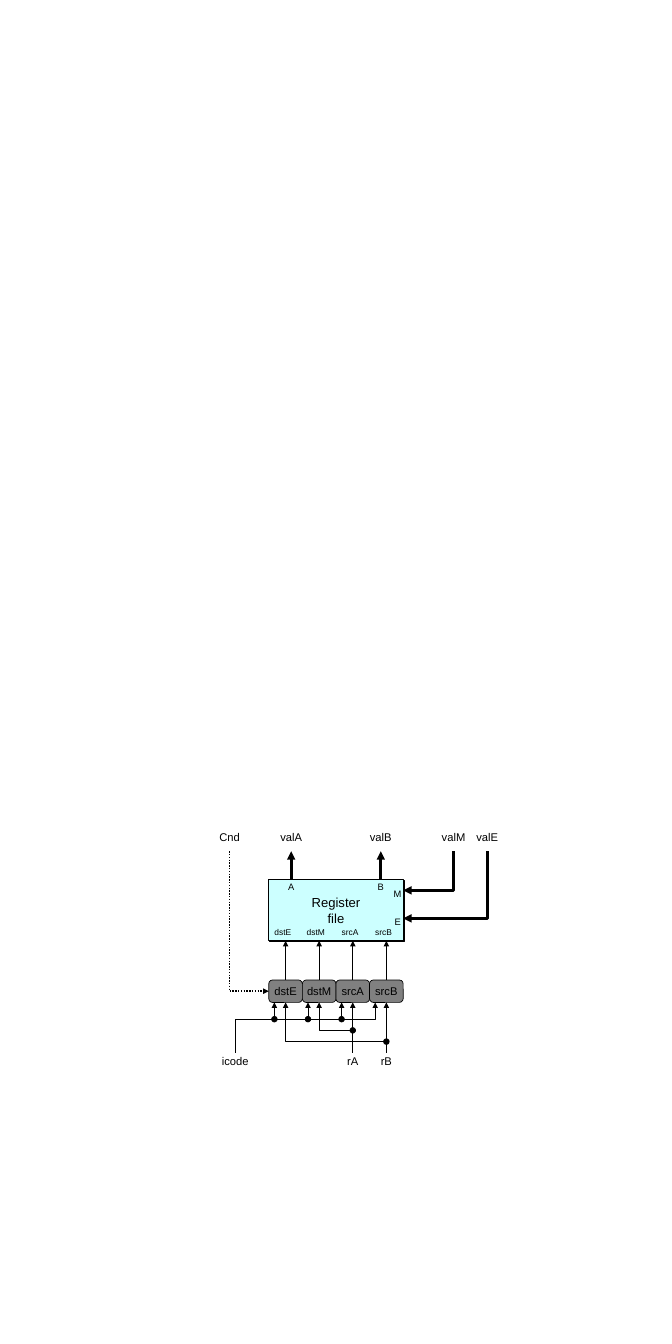
from lxml.etree import SubElement
from pptx import Presentation
from pptx.dml.color import RGBColor
from pptx.enum.dml import MSO_LINE
from pptx.enum.shapes import MSO_CONNECTOR, MSO_SHAPE
from pptx.enum.text import MSO_ANCHOR as ANCHOR, PP_ALIGN as ALIGN
from pptx.oxml.ns import qn
from pptx.util import Pt

rgb = RGBColor.from_string
BLACK = "000000"


def set_text(s, text, size, align=ALIGN.CENTER, anchor=ANCHOR.MIDDLE):
    tf = s.text_frame
    tf.text = text
    tf.word_wrap = True
    tf.vertical_anchor = anchor
    tf.margin_left = tf.margin_right = tf.margin_top = tf.margin_bottom = 0
    for p in tf.paragraphs:
        p.alignment = align
        for r in p.runs:
            r.font.name = "Arial"
            r.font.size = Pt(size)
            r.font.color.rgb = rgb(BLACK)


def set_line(s, width, arrow=True, dotted=False):
    s.line.color.rgb = rgb(BLACK)
    s.line.width = Pt(width)
    if dotted:
        s.line.dash_style = MSO_LINE.ROUND_DOT
    sp_pr = s.element.spPr
    if arrow:
        SubElement(sp_pr.find(qn("a:ln")), qn("a:tailEnd"), type="triangle")
    SubElement(sp_pr, qn("a:effectLst"))


prs = Presentation()
prs.slide_width, prs.slide_height = Pt(720), Pt(1440)
shapes = prs.slides.add_slide(prs.slide_layouts[6]).shapes

reg_left, reg_top, reg_w, reg_h = 288, 942, 144, 66
reg_right, reg_bottom = reg_left + reg_w, reg_top + reg_h
block_top, block_w, block_h = 1050, 36, 24
block_bottom = block_top + block_h
label_bottom, input_top = 912, 1128
icode_y, ra_y, rb_y = 1092, 1104, 1116

register = shapes.add_shape(MSO_SHAPE.RECTANGLE, Pt(reg_left), Pt(reg_top), Pt(reg_w), Pt(reg_h))
register.fill.solid()
register.fill.fore_color.rgb = rgb("CCFFFF")
set_line(register, 0.75, arrow=False)
set_text(register, "Register\nfile", 14)
shadow = SubElement(register.element.spPr.find(qn("a:effectLst")), qn("a:outerShdw"),
                    dist=str(Pt(1.4)), dir="2700000", algn="ctr", rotWithShape="0")
SubElement(shadow, qn("a:srgbClr"), val=BLACK)

labels = {}
for name, x, top in [("Cnd", 246, 882), ("valA", 312, 882), ("valB", 408, 882),
                     ("valM", 486, 882), ("valE", 522, 882),
                     ("icode", 252, 1122), ("rA", 378, 1122), ("rB", 414, 1122)]:
    labels[name] = shapes.add_textbox(Pt(x - 18), Pt(top), Pt(36), Pt(30))
    set_text(labels[name], name, 12)

for port, x, top in [("A", 312, 944.6), ("B", 408, 944.6), ("M", 426, 951.8), ("E", 426, 981.6)]:
    s = shapes.add_textbox(Pt(x - 12), Pt(top), Pt(24), Pt(12))
    set_text(s, port, 10, anchor=ANCHOR.TOP)

blocks = {}
for i, name in enumerate(["dstE", "dstM", "srcA", "srcB"]):
    left = reg_left + i * block_w
    mid = left + block_w / 2
    s = shapes.add_textbox(Pt(left), Pt(984), Pt(24), Pt(30))
    set_text(s, name, 9, ALIGN.RIGHT)

    s = shapes.add_shape(MSO_SHAPE.ROUNDED_RECTANGLE, Pt(left), Pt(block_top), Pt(block_w), Pt(block_h))
    s.fill.solid()
    s.fill.fore_color.rgb = rgb("808080")
    set_line(s, 0.75, arrow=False)
    set_text(s, name, 12)
    blocks[name] = s

    s = shapes.add_connector(MSO_CONNECTOR.STRAIGHT, Pt(mid), Pt(block_top), Pt(mid), Pt(reg_bottom))
    s.begin_connect(blocks[name], 0)
    set_line(s, 1)

for name, x in [("valA", 312), ("valB", 408)]:
    s = shapes.add_connector(MSO_CONNECTOR.STRAIGHT, Pt(x), Pt(reg_top), Pt(x), Pt(label_bottom))
    s.end_connect(labels[name], 2)
    set_line(s, 3)

for name, x in [("srcA", 378), ("srcB", 414)]:
    s = shapes.add_connector(MSO_CONNECTOR.STRAIGHT, Pt(x), Pt(input_top), Pt(x), Pt(block_bottom))
    s.end_connect(blocks[name], 2)
    set_line(s, 1)

for x in (294, 330, 366):
    s = shapes.add_connector(MSO_CONNECTOR.STRAIGHT, Pt(x), Pt(icode_y), Pt(x), Pt(block_bottom))
    set_line(s, 1)

for width, points in [
    (3, [(522, label_bottom), (522, 984), (reg_right, 984)]),
    (3, [(486, label_bottom), (486, 954), (reg_right, 954)]),
    (1, [(378, ra_y), (342, ra_y), (342, block_bottom)]),
    (1, [(414, rb_y), (306, rb_y), (306, block_bottom)]),
    (1, [(252, input_top), (252, icode_y), (402, icode_y), (402, block_bottom)]),
]:
    start, *rest = [(Pt(x), Pt(y)) for x, y in points]
    path_builder = shapes.build_freeform(*start)
    path_builder.add_line_segments(rest, close=False)
    s = path_builder.convert_to_shape()
    s.fill.background()
    set_line(s, width)

for x, y in [(294, icode_y), (330, icode_y), (366, icode_y), (378, ra_y), (414, rb_y)]:
    s = shapes.add_shape(MSO_SHAPE.OVAL, Pt(x - 3), Pt(y - 3), Pt(6), Pt(6))
    s.fill.solid()
    s.fill.fore_color.rgb = rgb(BLACK)
    set_line(s, 0.75, arrow=False)

cnd_y = block_top + block_h / 2
s = shapes.add_connector(MSO_CONNECTOR.STRAIGHT, Pt(246), Pt(label_bottom), Pt(246), Pt(cnd_y))
s.begin_connect(labels["Cnd"], 2)
set_line(s, 1.5, arrow=False, dotted=True)
s = shapes.add_connector(MSO_CONNECTOR.STRAIGHT, Pt(246), Pt(cnd_y), Pt(reg_left), Pt(cnd_y))
s.end_connect(blocks["dstE"], 1)
set_line(s, 1.5, dotted=True)

prs.save("out.pptx")
